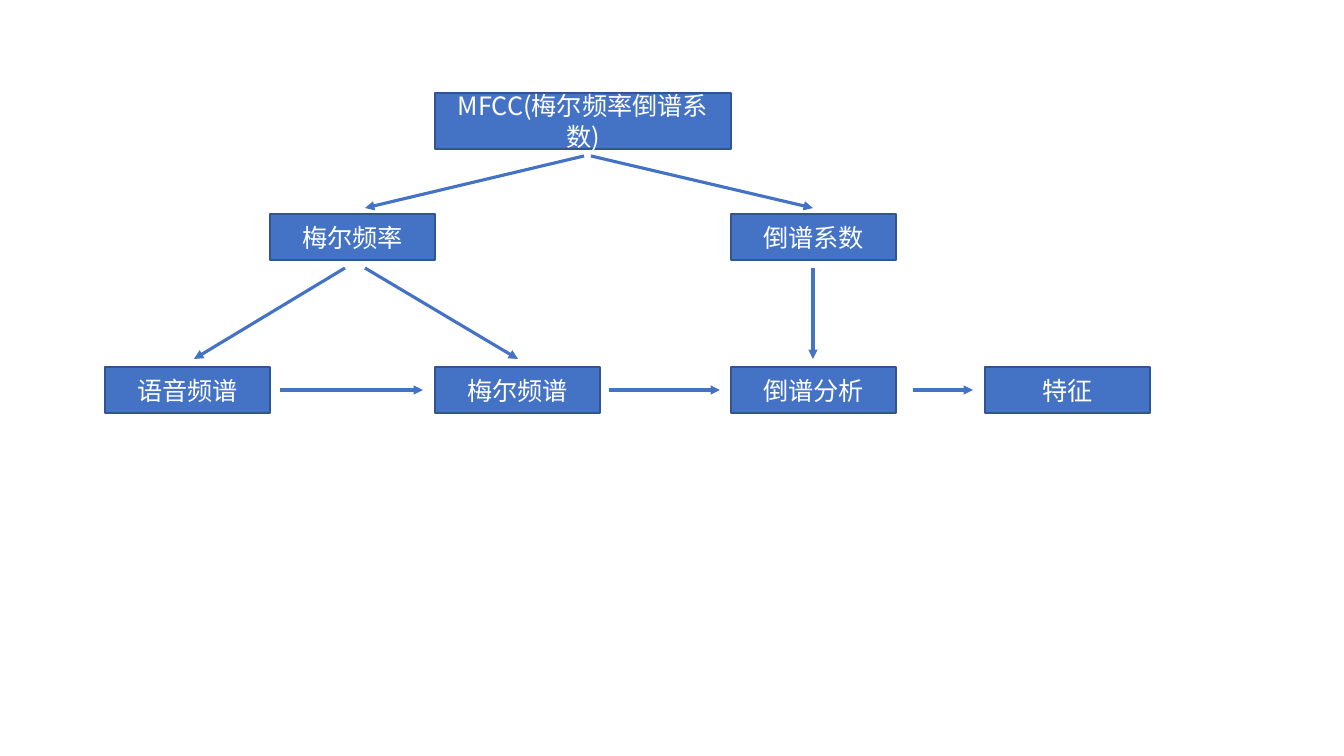
from dataclasses import dataclass

from pptx import Presentation
from pptx.dml.color import RGBColor
from pptx.enum.shapes import MSO_CONNECTOR, MSO_SHAPE
from pptx.enum.text import MSO_ANCHOR, PP_ALIGN
from pptx.oxml.ns import qn
from pptx.oxml.xmlchemy import OxmlElement
from pptx.util import Emu, Inches, Pt


@dataclass(frozen=True)
class Theme:
    fill: RGBColor = RGBColor(0x44, 0x72, 0xC4)
    border: RGBColor = RGBColor(0x32, 0x54, 0x91)
    text: RGBColor = RGBColor(0xFF, 0xFF, 0xFF)
    font: str = "Noto Sans CJK SC"
    size: Pt = Pt(18)
    border_width: Pt = Pt(1)
    arrow_width: Pt = Pt(2.25)


THEME = Theme()
PX_PER_INCH = 100.8
BOX_SIZE = (165, 46)
ROOT_SIZE = (296, 56)
ROOT_Y, CONCEPT_Y, STEP_Y = 93, 214, 367

# label, left, top, (width, height)
BOXES = [
    ("MFCC(梅尔频率倒谱系数)", 435, ROOT_Y, ROOT_SIZE),
    ("梅尔频率", 270, CONCEPT_Y, BOX_SIZE),
    ("倒谱系数", 731, CONCEPT_Y, BOX_SIZE),
    ("语音频谱", 105, STEP_Y, BOX_SIZE),
    ("梅尔频谱", 435, STEP_Y, BOX_SIZE),
    ("倒谱分析", 731, STEP_Y, BOX_SIZE),
    ("特征", 985, STEP_Y, BOX_SIZE),
]
# (start y, end y), [(start x, end x), ...]
ARROW_ROWS = [
    ((156, 208), [(584, 365), (591, 813)]),
    ((268, 359), [(345, 194), (365, 518), (813, 813)]),
    ((390, 390), [(280, 423), (609, 720), (913, 973)]),
]


def px(n):
    return Emu(Inches(n / PX_PER_INCH))


def add_box(s, label, x, y, size):
    box = s.shapes.add_shape(MSO_SHAPE.RECTANGLE, px(x), px(y), *map(px, size))
    box.shadow.inherit = False
    box.fill.solid()
    box.fill.fore_color.rgb = THEME.fill
    box.line.color.rgb = THEME.border
    box.line.width = THEME.border_width
    tf = box.text_frame
    tf.word_wrap = True
    tf.vertical_anchor = MSO_ANCHOR.MIDDLE
    p = tf.paragraphs[0]
    p.text = label
    p.alignment = PP_ALIGN.CENTER
    p.font.name = THEME.font
    p.font.size = THEME.size
    p.font.color.rgb = THEME.text
    east_asian = OxmlElement("a:ea")
    east_asian.set("typeface", THEME.font)
    p._p.pPr.find(qn("a:defRPr")).append(east_asian)


def add_arrow(s, x1, y1, x2, y2):
    arrow = s.shapes.add_connector(
        MSO_CONNECTOR.STRAIGHT, px(x1), px(y1), px(x2), px(y2))
    arrow.line.color.rgb = THEME.fill
    arrow.line.width = THEME.arrow_width
    head = OxmlElement("a:tailEnd")
    head.set("type", "triangle")
    arrow.line._get_or_add_ln().append(head)
    arrow._element.spPr.append(OxmlElement("a:effectLst"))


def main():
    prs = Presentation()
    prs.slide_width, prs.slide_height = px(1344), px(756)
    s = prs.slides.add_slide(prs.slide_layouts[6])
    for box in BOXES:
        add_box(s, *box)
    for (y1, y2), spans in ARROW_ROWS:
        for x1, x2 in spans:
            add_arrow(s, x1, y1, x2, y2)
    prs.save("out.pptx")


if __name__ == "__main__":
    main()
